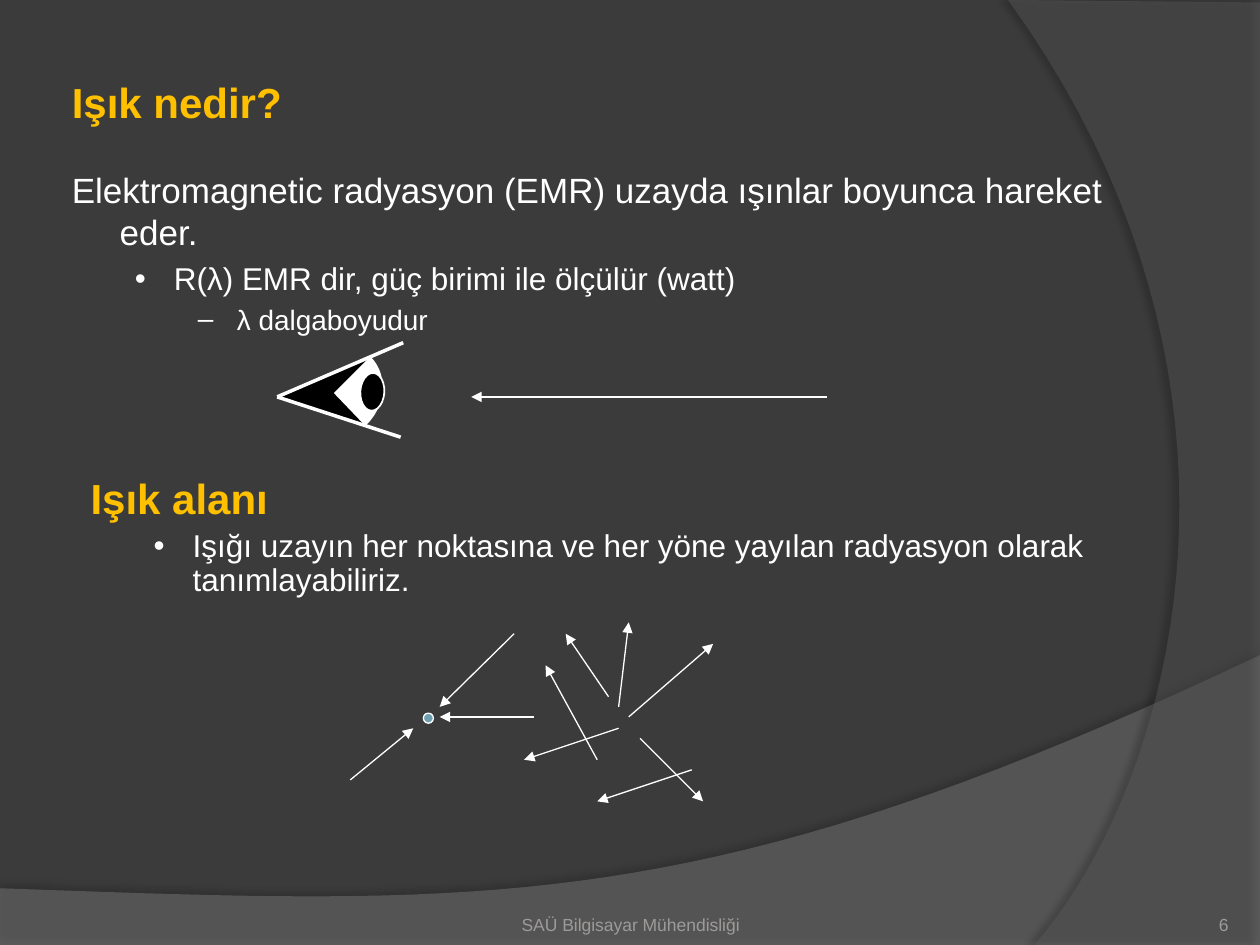
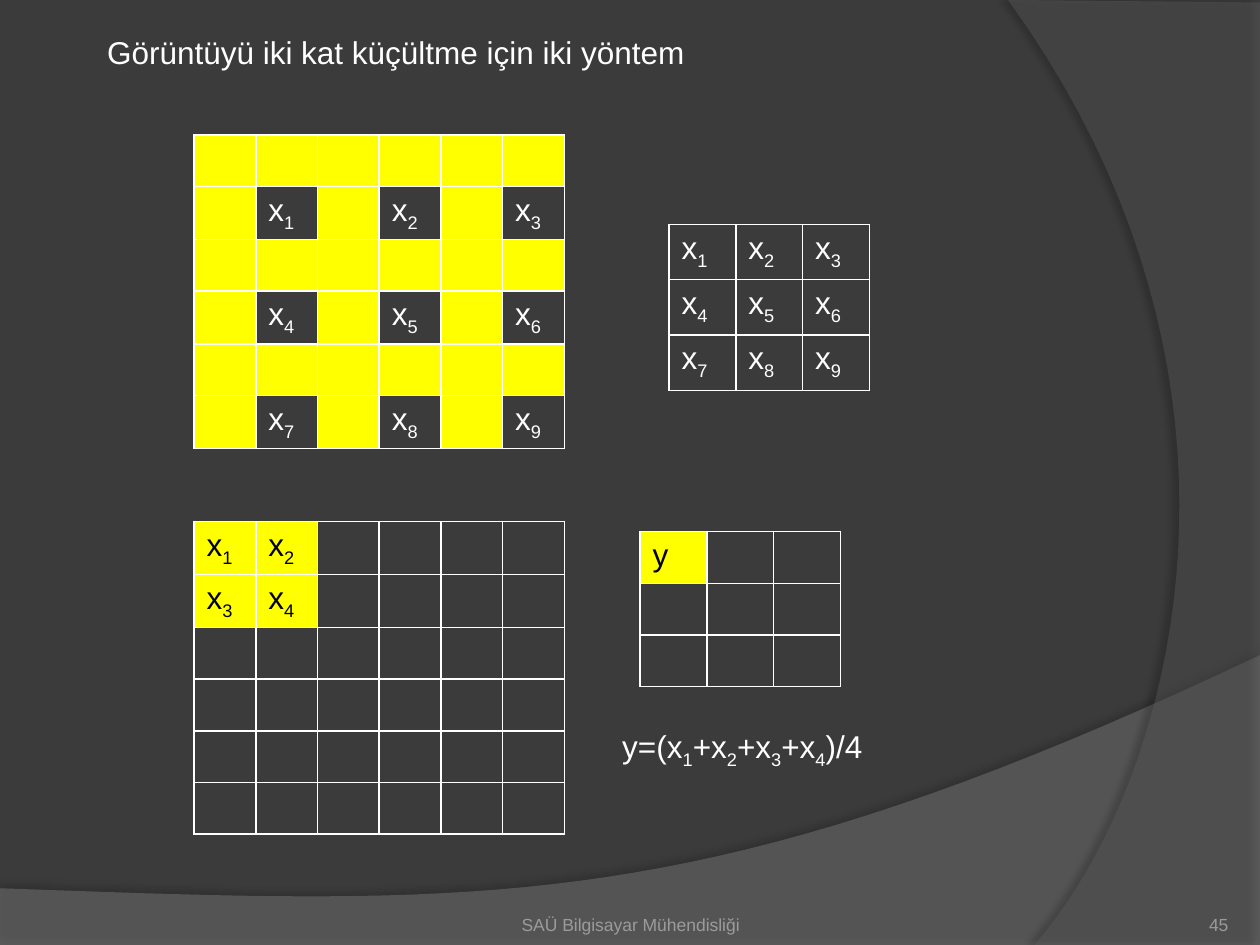
from dataclasses import dataclass

from lxml.etree import SubElement
from pptx import Presentation
from pptx.dml.color import RGBColor as RGB
from pptx.enum.shapes import MSO_CONNECTOR as CONN, MSO_SHAPE as SHAPE
from pptx.enum.text import MSO_ANCHOR as ANCHOR, MSO_AUTO_SIZE as AUTO, PP_ALIGN as ALIGN
from pptx.oxml.ns import qn
from pptx.util import Inches, Pt


@dataclass(frozen=True)
class Theme:
    font: str = "Arial"
    back: str = "3B3B3B"
    wave: str = "7F7F7F"
    band: str = "5E5E5E"
    accent: str = "FFC000"
    text: str = "FFFFFF"
    dark: str = "000000"
    mark: str = "FFFF00"
    dot: str = "6EA0B0"
    muted: str = "9D9B9A"
    heading: int = 24
    lead: int = 20
    body: int = 18
    detail: int = 16
    footer: int = 10


T = Theme()
RAYS = [
    ((4.08, 5.03), (3.49, 5.61)),
    ((4.24, 5.69), (3.49, 5.69)),
    ((4.74, 6.03), (4.33, 5.28)),
    ((4.99, 5.69), (5.66, 5.11)),
    ((4.91, 5.61), (4.99, 4.94)),
    ((4.83, 5.53), (4.49, 5.03)),
    ((4.91, 5.78), (4.16, 6.03)),
    ((5.49, 6.11), (4.74, 6.36)),
    ((5.08, 5.86), (5.58, 6.36)),
    ((2.78, 6.19), (3.28, 5.78)),
]


def apply(target, values):
    for name, value in values.items():
        setattr(target, name, value)


def add_run(p, text, size, color=T.text, bold=False, baseline=0):
    r = p.add_run()
    r.text = text
    apply(r.font, {"name": T.font, "size": Pt(size), "bold": bold})
    r.font.color.rgb = RGB.from_string(color)
    if baseline:
        r.font._element.set("baseline", str(baseline * 1000))


def add_formula(p, text, color=T.text):
    first, *rest = text.split("_")
    add_run(p, first, T.body, color)
    for part in rest:
        add_run(p, part[0], T.body, color, baseline=-25)
        if part[1:]:
            add_run(p, part[1:], T.body, color)


def set_indent(p, left, hanging, bullet=None):
    pPr = p._p.get_or_add_pPr()
    pPr.set("marL", str(Inches(left)))
    pPr.set("indent", str(-Inches(hanging)))
    if bullet:
        SubElement(pPr, qn("a:buFont")).set("typeface", T.font)
        SubElement(pPr, qn("a:buChar")).set("char", bullet)
    else:
        SubElement(pPr, qn("a:buNone"))


def setup_frame(sp, box, anchor=ANCHOR.TOP, margins=(0.1, 0.05, 0.1, 0.05)):
    apply(sp, dict(zip(("left", "top", "width", "height"), map(Inches, box))))
    tf = sp.text_frame
    names = ("margin_left", "margin_top", "margin_right", "margin_bottom")
    apply(tf, {"word_wrap": True, "auto_size": AUTO.NONE, "vertical_anchor": anchor,
               **dict(zip(names, map(Inches, margins)))})
    return tf


def add_text(s, box, **frame):
    return setup_frame(s.shapes.add_textbox(0, 0, 0, 0), box, **frame)


def set_title(s, text, box, size, color=T.text, bold=False):
    p = setup_frame(s.shapes.title, box).paragraphs[0]
    p.alignment = ALIGN.LEFT
    add_run(p, text, size, color, bold)


def fill_list(tf, items, spacing=1.0):
    for i, (text, level, left, hanging, bullet, size, color, bold) in enumerate(items):
        p = tf.add_paragraph() if i else tf.paragraphs[0]
        set_indent(p, left, hanging, bullet)
        apply(p, {"level": level, "line_spacing": spacing, "alignment": ALIGN.LEFT,
                  "space_before": Pt(size * 0.2 if i else 0)})
        add_run(p, text, size, color, bold)


def paint(sp, fill=None, line=None, width=1):
    sp.shadow.inherit = False
    if fill:
        sp.fill.solid()
        sp.fill.fore_color.rgb = RGB.from_string(fill)
    else:
        sp.fill.background()
    if line:
        sp.line.color.rgb = RGB.from_string(line)
        sp.line.width = Pt(width)
    else:
        sp.line.fill.background()


def bezier(a, b, c, d, steps=40):
    points = []
    for i in range(steps + 1):
        t = i / steps
        u = 1 - t
        points.append(tuple(u**3 * w + 3 * u * u * t * x + 3 * u * t * t * y + t**3 * z
                            for w, x, y, z in zip(a, b, c, d)))
    return points


def add_outline(shapes, points, close=True, **look):
    start, *rest = [(Inches(x), Inches(y)) for x, y in points]
    builder = shapes.build_freeform(*start)
    builder.add_line_segments(rest, close=close)
    sp = builder.convert_to_shape()
    paint(sp, **look)
    return sp


def add_ellipse(shapes, box, **look):
    sp = shapes.add_shape(SHAPE.OVAL, *map(Inches, box))
    paint(sp, **look)
    return sp


def add_line(shapes, start, end, width=0.75, arrow=True):
    cn = shapes.add_connector(CONN.STRAIGHT, *map(Inches, start + end))
    cn.line.color.rgb = RGB.from_string(T.text)
    cn.line.width = Pt(width)
    spPr = cn.element.spPr
    if arrow:
        SubElement(spPr.find(qn("a:ln")), qn("a:tailEnd")).set("type", "triangle")
    SubElement(spPr, qn("a:effectLst"))


def set_alpha(color, percent):
    SubElement(color, qn("a:alpha")).set("val", str(percent * 1000))


def add_master_band(prs, s, index, points, fill, alpha, shade, distance, angle):
    sp = add_outline(s.shapes, points, fill=fill)
    spPr = sp.element.spPr
    set_alpha(spPr.find(qn("a:solidFill"))[0], alpha)
    shadow = SubElement(spPr.find(qn("a:effectLst")), qn("a:outerShdw"))
    for name, value in {"blurRad": Pt(4), "dist": Pt(distance), "dir": angle * 60000,
                        "algn": "ctr", "rotWithShape": 0}.items():
        shadow.set(name, str(value))
    color = SubElement(shadow, qn("a:srgbClr"))
    color.set("val", T.dark)
    set_alpha(color, shade)
    sp.element.nvSpPr.cNvPr.set("id", str(100 + index))
    prs.slide_master.shapes.element.insert(2 + index, sp.element)


def setup_master(prs, s):
    fill = prs.slide_master.background.fill
    fill.solid()
    fill.fore_color.rgb = RGB.from_string(T.back)
    wave = [(0, 7.5), (10, 7.5)] + bezier((10, 5.2), (5.59, 7.29), (3.91, 7.19), (0, 7.05))
    band = [(10, 0.02), (10, 7.5)] + bezier((8.21, 7.5), (9.35, 6.19), (10.18, 3), (8, 0))
    add_master_band(prs, s, 0, wave, T.wave, 45, 35, 3.5, 270)
    add_master_band(prs, s, 1, band, T.band, 40, 45, 4, 180)


def add_footer(s, number):
    for text, box, align in (
        ("SAÜ Bilgisayar Mühendisliği", (3.42, 7.02, 3.17, 0.4), ALIGN.CENTER),
        (number, (8.92, 7.02, 0.83, 0.4), ALIGN.RIGHT),
    ):
        p = add_text(s, box, anchor=ANCHOR.BOTTOM, margins=(0, 0, 0, 0)).paragraphs[0]
        p.alignment = align
        add_run(p, text, T.footer, T.muted)


def add_eye(s):
    shapes = s.shapes.add_group_shape().shapes
    corner = (2.2, 3.15)
    arc = bezier((2.93, 2.84), (3.07, 2.98), (3.05, 3.22), (2.89, 3.37))
    add_outline(shapes, [corner] + arc, fill=T.dark)
    add_outline(shapes, arc + [(2.65, 3.12)], fill=T.text)
    add_outline(shapes, arc, close=False, line=T.text, width=2)
    add_line(shapes, (3.2, 2.72), corner, 2, arrow=False)
    add_ellipse(shapes, (2.86, 2.96, 0.19, 0.3), fill=T.dark, line=T.text).rotation = 3.4
    add_line(shapes, corner, (3.18, 3.47), 2, arrow=False)


def set_borders(cell):
    tcPr = cell._tc.get_or_add_tcPr()
    for side in ("lnL", "lnR", "lnT", "lnB"):
        ln = SubElement(tcPr, qn(f"a:{side}"))
        ln.set("w", str(Pt(1)))
        SubElement(SubElement(ln, qn("a:solidFill")), qn("a:srgbClr")).set("val", T.text)


def add_grid(s, left, top, col_width, row_height, labels, marked, color=T.text):
    n = len(labels)
    table = s.shapes.add_table(n, n, Inches(left), Inches(top),
                               Inches(col_width * n), Inches(row_height * n)).table
    apply(table, {"first_row": False, "horz_banding": False})
    for i in range(n):
        table.columns[i].width = Inches(col_width)
        table.rows[i].height = Inches(row_height)
        for j in range(n):
            cell = table.cell(i, j)
            set_borders(cell)
            if marked(i, j):
                cell.fill.solid()
                cell.fill.fore_color.rgb = RGB.from_string(T.mark)
            else:
                cell.fill.background()
            if labels[i][j]:
                add_formula(cell.text_frame.paragraphs[0], labels[i][j], color)


def build_light_slide(s):
    set_title(s, "Işık nedir?", (0.47, 0.56, 8.91, 0.5), T.heading, T.accent, True)
    fill_list(setup_frame(s.placeholders[1], (0.47, 1.29, 8.91, 1.5)), [
        ("Elektromagnetic radyasyon (EMR) uzayda ışınlar boyunca hareket eder.",
         0, 0.38, 0.38, None, T.lead, T.text, False),
        ("R(λ) EMR dir, güç birimi ile ölçülür (watt)",
         1, 0.81, 0.31, "•", T.body, T.text, False),
        ("λ dalgaboyudur", 2, 1.31, 0.31, "–", T.detail, T.text, False),
    ])
    add_eye(s)
    add_line(s.shapes, (6.56, 3.15), (3.74, 3.15))
    fill_list(add_text(s, (0.62, 3.75, 8.98, 1.37)), [
        ("Işık alanı", 0, 0.38, 0.38, None, T.heading, T.accent, True),
        ("Işığı uzayın her noktasına ve her yöne yayılan radyasyon olarak tanımlayabiliriz.",
         1, 0.81, 0.31, "•", T.body, T.text, False),
    ], spacing=0.9)
    add_ellipse(s.shapes, (3.36, 5.66, 0.08, 0.08), fill=T.dot, line=T.text, width=0.75)
    for start, end in RAYS:
        add_line(s.shapes, start, end)
    add_footer(s, "6")


def build_scaling_slide(s):
    set_title(s, "Görüntüyü iki kat küçültme için iki yöntem", (0.75, 0.21, 7.95, 0.4), T.body)
    reduced = [[f"x_{3 * i + j + 1}" for j in range(3)] for i in range(3)]
    sampled = [[reduced[i // 2][j // 2] if i % 2 and j % 2 else "" for j in range(6)]
               for i in range(6)]
    block = [[f"x_{2 * i + j + 1}" if i < 2 and j < 2 else "" for j in range(6)]
             for i in range(6)]
    average = [["y", "", ""], [""] * 3, [""] * 3]
    add_grid(s, 1.54, 1.07, 0.49, 0.41, sampled, lambda i, j: not (i % 2 and j % 2))
    add_grid(s, 5.31, 1.78, 0.53, 0.44, reduced, lambda i, j: False)
    add_grid(s, 1.54, 4.14, 0.49, 0.41, block, lambda i, j: i < 2 and j < 2, T.dark)
    add_grid(s, 5.08, 4.22, 0.53, 0.41, average, lambda i, j: i == j == 0, T.dark)
    add_formula(add_text(s, (4.84, 5.72, 3.7, 0.4)).paragraphs[0], "y=(x_1+x_2+x_3+x_4)/4")
    add_footer(s, "45")


def main():
    prs = Presentation()
    apply(prs, {"slide_width": Inches(10), "slide_height": Inches(7.5)})
    light = prs.slides.add_slide(prs.slide_layouts[1])
    scaling = prs.slides.add_slide(prs.slide_layouts[5])
    setup_master(prs, light)
    build_light_slide(light)
    build_scaling_slide(scaling)
    prs.save("out.pptx")


if __name__ == "__main__":
    main()
